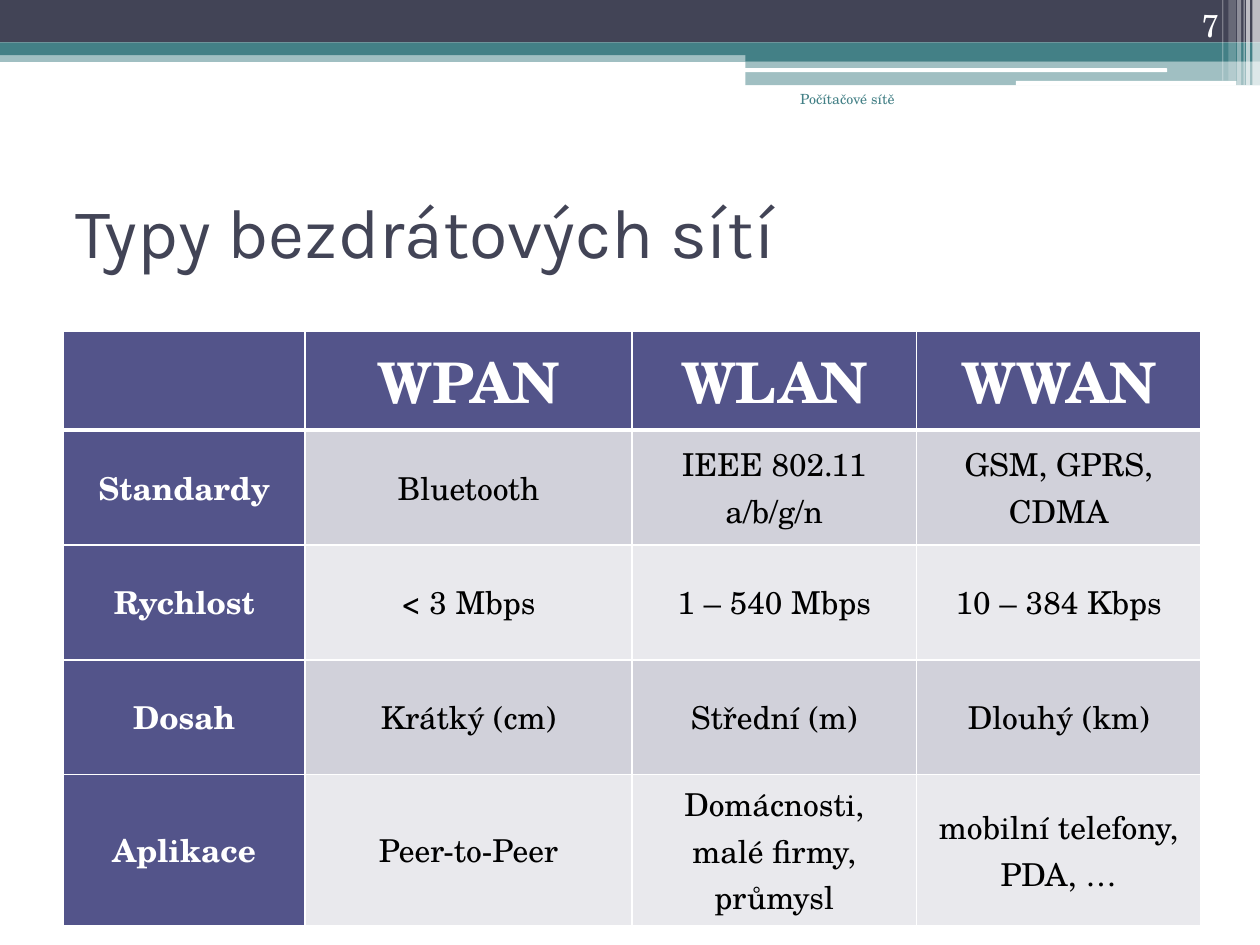
from lxml import etree
from pptx import Presentation
from pptx.dml.color import RGBColor
from pptx.enum.shapes import MSO_SHAPE
from pptx.enum.text import MSO_ANCHOR, PP_ALIGN
from pptx.oxml.ns import qn
from pptx.util import Pt

RECTANGLE = MSO_SHAPE.RECTANGLE
ROUNDED = MSO_SHAPE.ROUNDED_RECTANGLE
LEFT, CENTER, RIGHT = PP_ALIGN.LEFT, PP_ALIGN.CENTER, PP_ALIGN.RIGHT
TOP, MIDDLE, BOTTOM = MSO_ANCHOR.TOP, MSO_ANCHOR.MIDDLE, MSO_ANCHOR.BOTTOM

HEADING_FONT, BODY_FONT = "Karla", "TeX Gyre Schola"
WHITE, BLACK, NAVY, TEAL, VIOLET = "FFFFFF", "000000", "424456", "438086", "53548A"
BANDS = ("D1D1DA", "E9E9ED")

# Header bars: left, top, width, height, colour, opacity in percent
BARS = [
    (0, 28.8, 720, 6.6, TEAL, 50),
    (0, 0, 720, 24.3, NAVY, 100),
    (0, 24.3, 720, 7.2, TEAL, 100),
    (426, 28.1, 294, 6.9, TEAL, 100),
    (426, 34.8, 294, 13.9, TEAL, 50),
]
WHITE_LINES = [(425.5, 39, 241.5, 2.2), (580.5, 46.2, 126, 2.7)]
# Stripes at the right edge: left, width, height, opacity
STRIPES = [
    (715.7, 4.3, 48.7, 65),
    (712.1, 2.2, 48.7, 65),
    (710.6, 0.7, 48.7, 60),
    (707, 2.2, 48.7, 40),
    (702, 4.3, 46.1, 20),
    (698.4, 0.7, 46.1, 30),
]

COLUMN_WIDTHS = (138.2, 186.7, 162.7, 162.5)
ROW_HEIGHTS = (56.2, 65.7, 65.7, 65.7, 86.4)
ROWS = [
    ("", "WPAN", "WLAN", "WWAN"),
    ("Standardy", "Bluetooth", "IEEE 802.11\na/b/g/n", "GSM, GPRS, CDMA"),
    ("Rychlost", "< 3 Mbps", "1 – 540 Mbps", "10 – 384 Kbps"),
    ("Dosah", "Krátký (cm)", "Střední (m)", "Dlouhý (km)"),
    ("Aplikace", "Peer-to-Peer", "Domácnosti, malé firmy, průmysl",
     "mobilní telefony, PDA, …"),
]


def paint(fill, color):
    fill.solid()
    fill.fore_color.rgb = RGBColor.from_string(color)


def style_text(frame, size, color, font=BODY_FONT, align=LEFT, bold=False):
    for paragraph in frame.paragraphs:
        paragraph.alignment = align
        paragraph.font.name = font
        paragraph.font.size = Pt(size)
        paragraph.font.bold = bold
        paragraph.font.color.rgb = RGBColor.from_string(color)


def add_bar(slide, left, top, width, height, color, opacity=100, kind=RECTANGLE):
    shape = slide.shapes.add_shape(kind, Pt(left), Pt(top), Pt(width), Pt(height))
    shape.shadow.inherit = False
    shape.line.fill.background()
    paint(shape.fill, color)
    if opacity < 100:
        color_element = shape.fill._xPr.find(".//" + qn("a:srgbClr"))
        etree.SubElement(color_element, qn("a:alpha"), val=str(opacity * 1000))


def add_text(slide, text, left, top, width, height, anchor, **style):
    box = slide.shapes.add_textbox(Pt(left), Pt(top), Pt(width), Pt(height))
    frame = box.text_frame
    frame.word_wrap = True
    frame.vertical_anchor = anchor
    frame.text = text
    style_text(frame, **style)


def add_borders(cell, **widths):
    properties = cell._tc.get_or_add_tcPr()
    for side in "LRTB":
        width = Pt(widths.get(side, 1))
        line = etree.SubElement(properties, qn("a:ln" + side), w=str(width))
        fill = etree.SubElement(line, qn("a:solidFill"))
        etree.SubElement(fill, qn("a:srgbClr"), val=WHITE)


def add_network_table(slide):
    table = slide.shapes.add_table(
        len(ROWS), len(COLUMN_WIDTHS), Pt(36.2), Pt(189.5),
        Pt(sum(COLUMN_WIDTHS)), Pt(sum(ROW_HEIGHTS))).table
    for column, width in zip(table.columns, COLUMN_WIDTHS):
        column.width = Pt(width)
    for i, texts in enumerate(ROWS):
        table.rows[i].height = Pt(ROW_HEIGHTS[i])
        for j, text in enumerate(texts):
            cell = table.cell(i, j)
            heading = i == 0 or j == 0
            cell.text = text
            cell.vertical_anchor = MIDDLE
            style_text(cell.text_frame, size=32 if i == 0 and j else 18,
                       color=WHITE if heading else BLACK,
                       align=CENTER, bold=heading)
            # The rule under the header row is thicker
            add_borders(cell, T=3 if i == 1 else 1, B=3 if i == 0 else 1)
            paint(cell.fill, VIOLET if heading else BANDS[(i - 1) % 2])


def main():
    presentation = Presentation()
    presentation.slide_width, presentation.slide_height = Pt(720), Pt(540)
    slide = presentation.slides.add_slide(presentation.slide_layouts[6])

    # Header decoration
    for bar in BARS:
        add_bar(slide, *bar)
    for line in WHITE_LINES:
        add_bar(slide, *line, WHITE, kind=ROUNDED)
    for left, width, height, opacity in STRIPES:
        add_bar(slide, left, 0, width, height, WHITE, opacity)

    # Title and table
    add_text(slide, "Typy bezdrátových sítí", 36, 89.6, 648, 84.2, MIDDLE,
             size=40, color=NAVY, font=HEADING_FONT)
    add_network_table(slide)

    # Footer and slide number
    add_text(slide, "Počítačové sítě", 414, 48.2, 104.4, 36, TOP,
             size=8, color=TEAL, align=RIGHT)
    add_text(slide, "7", 643.9, 0, 59.8, 28.8, BOTTOM,
             size=18, color=WHITE, align=RIGHT)

    presentation.save("out.pptx")


if __name__ == "__main__":
    main()
